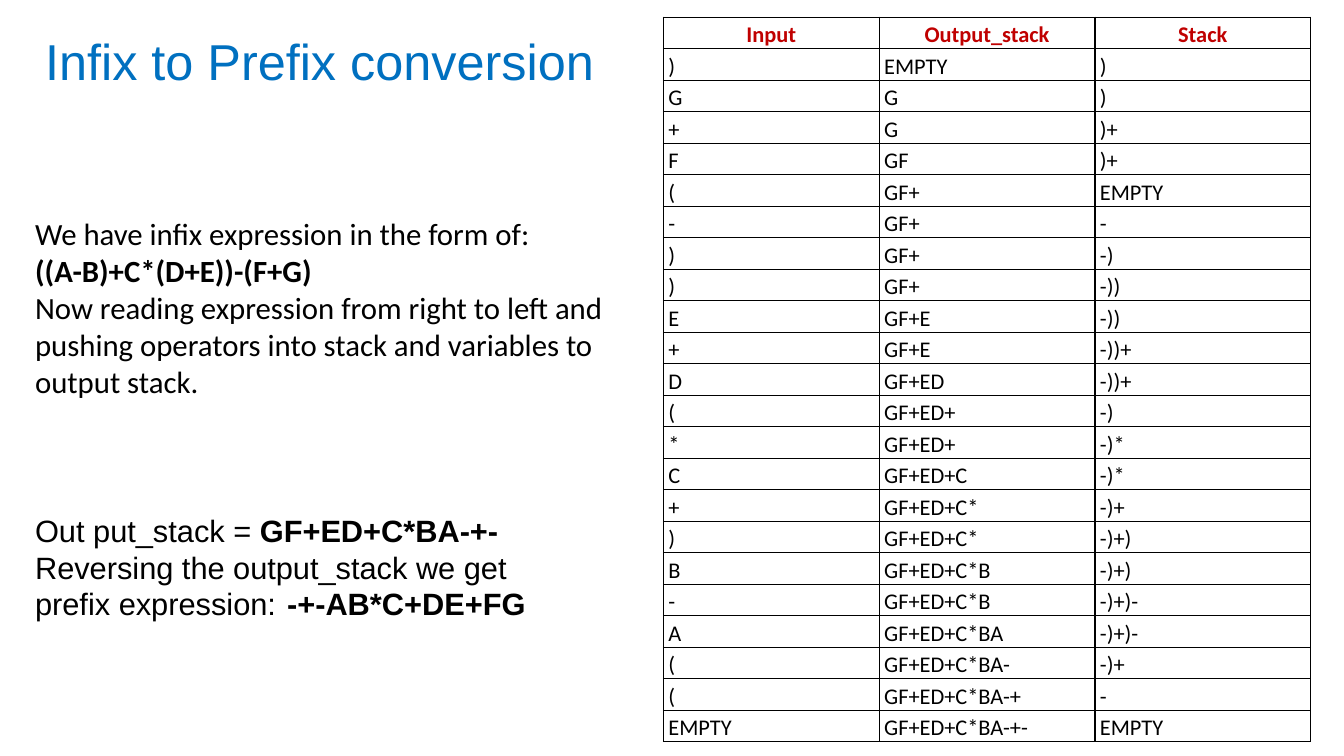
from lxml import etree
from pptx import Presentation
from pptx.dml.color import RGBColor
from pptx.enum.text import PP_ALIGN
from pptx.oxml.ns import qn
from pptx.util import Inches, Pt

CENTER, LEFT = PP_ALIGN.CENTER, PP_ALIGN.LEFT
BLACK = RGBColor(0x00, 0x00, 0x00)
RED = RGBColor(0xC0, 0x00, 0x00)
BLUE = RGBColor(0x00, 0x70, 0xC0)

# Content
TITLE = "Infix to Prefix conversion"

# Each line: font, space before in points, runs of (text, bold)
EXPLANATION = [
    ("Calibri", 0, [("We have infix expression in the form of:", False)]),
    ("Calibri", 0, [("((A-B)+C*(D+E))-(F+G)", True)]),
    ("Calibri", 0, [("Now reading expression from right to left and", False)]),
    ("Calibri", 0, [("pushing operators into stack and variables to", False)]),
    ("Calibri", 0, [("output stack.", False)]),
    ("Arial", 80, [("Out put_stack = ", False), ("GF+ED+C*BA-+-", True)]),
    ("Arial", 0, [("Reversing the output_stack we get", False)]),
    ("Arial", 0, [("prefix expression:\t", False), ("-+-AB*C+DE+FG", True)]),
]

STEPS = [
    ("Input", "Output_stack", "Stack"),
    (")", "EMPTY", ")"),
    ("G", "G", ")"),
    ("+", "G", ")+"),
    ("F", "GF", ")+"),
    ("(", "GF+", "EMPTY"),
    ("-", "GF+", "-"),
    (")", "GF+", "-)"),
    (")", "GF+", "-))"),
    ("E", "GF+E", "-))"),
    ("+", "GF+E", "-))+"),
    ("D", "GF+ED", "-))+"),
    ("(", "GF+ED+", "-)"),
    ("*", "GF+ED+", "-)*"),
    ("C", "GF+ED+C", "-)*"),
    ("+", "GF+ED+C*", "-)+"),
    (")", "GF+ED+C*", "-)+)"),
    ("B", "GF+ED+C*B", "-)+)"),
    ("-", "GF+ED+C*B", "-)+)-"),
    ("A", "GF+ED+C*BA", "-)+)-"),
    ("(", "GF+ED+C*BA-", "-)+"),
    ("(", "GF+ED+C*BA-+", "-"),
    ("EMPTY", "GF+ED+C*BA-+-", "EMPTY"),
]


def style_font(font, name, size, color, bold=False):
    font.name, font.size, font.bold = name, Pt(size), bold
    font.color.rgb = color


def add_borders(cell):
    properties = cell._tc.get_or_add_tcPr()
    for index, side in enumerate(("lnL", "lnR", "lnT", "lnB")):
        line = etree.Element(qn("a:" + side), w=str(Pt(1)))
        fill = etree.SubElement(line, qn("a:solidFill"))
        etree.SubElement(fill, qn("a:srgbClr"), val=str(BLACK))
        properties.insert(index, line)


presentation = Presentation()
presentation.slide_width, presentation.slide_height = Inches(13.33), Inches(7.5)
slide = presentation.slides.add_slide(presentation.slide_layouts[6])

# Step table
row_count, column_count = len(STEPS), len(STEPS[0])
table = slide.shapes.add_table(
    row_count, column_count, Inches(6.58), Inches(0.17), Inches(6.42), Inches(7.17)
).table
table.horz_banding = False
for row_index, step in enumerate(STEPS):
    header = row_index == 0
    for column_index, text in enumerate(step):
        cell = table.cell(row_index, column_index)
        cell.margin_left = cell.margin_right = Inches(0.05)
        cell.margin_top = cell.margin_bottom = 0
        cell.fill.background()
        add_borders(cell)
        cell.text_frame.text = text
        paragraph = cell.text_frame.paragraphs[0]
        paragraph.alignment = CENTER if header else LEFT
        paragraph.line_spacing = 1.15
        style_font(paragraph.runs[0].font, "Calibri", 16, RED if header else BLACK, header)

# Explanation
text_frame = slide.shapes.add_textbox(
    Inches(0.25), Inches(2.08), Inches(5.9), Inches(4.17)
).text_frame
text_frame.word_wrap = False
for index, (font_name, space_before, runs) in enumerate(EXPLANATION):
    paragraph = text_frame.add_paragraph() if index else text_frame.paragraphs[0]
    if space_before:
        paragraph.space_before = Pt(space_before)
    for text, bold in runs:
        run = paragraph.add_run()
        run.text = text
        style_font(run.font, font_name, 22, BLACK, bold)

# Title
text_frame = slide.shapes.add_textbox(
    Inches(0.35), Inches(0.25), Inches(5.7), Inches(0.71)
).text_frame
text_frame.word_wrap = False
text_frame.text = TITLE
style_font(text_frame.paragraphs[0].runs[0].font, "Arial", 36, BLUE)

presentation.save("out.pptx")
